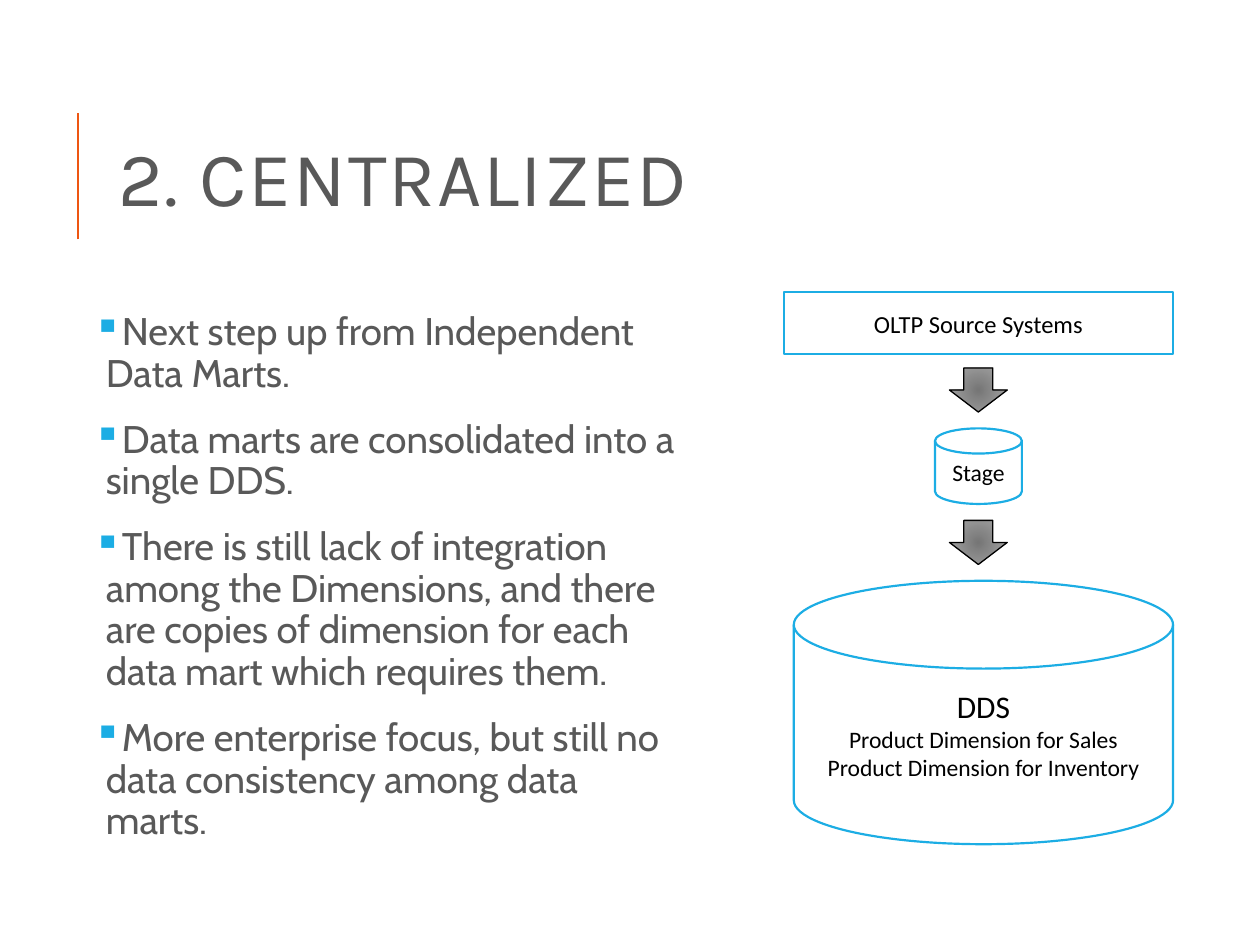
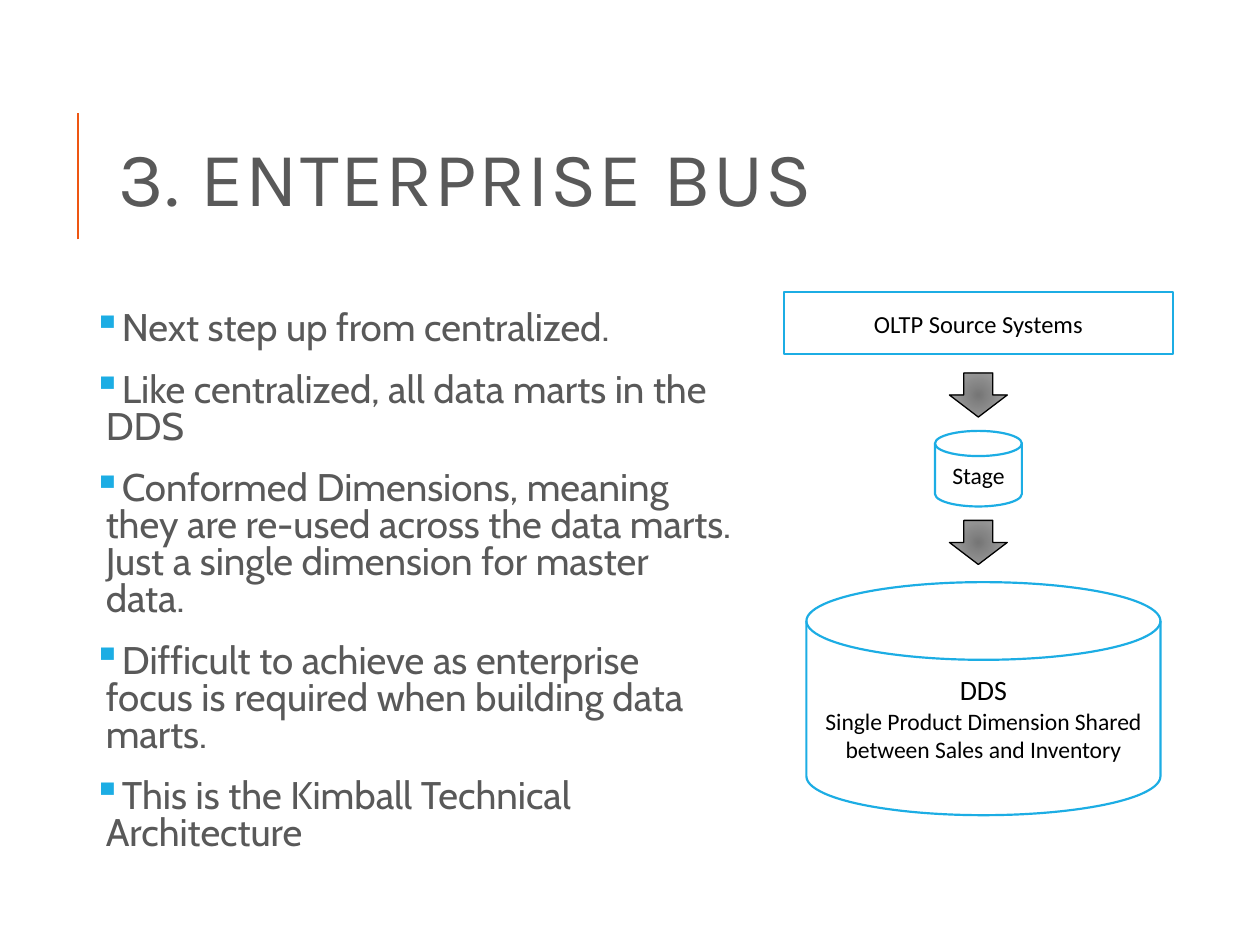
from lxml.etree import SubElement
from pptx import Presentation
from pptx.dml.color import RGBColor
from pptx.enum.shapes import MSO_CONNECTOR, MSO_SHAPE
from pptx.enum.text import MSO_ANCHOR, PP_ALIGN
from pptx.oxml import parse_xml
from pptx.oxml.ns import nsdecls, qn
from pptx.util import Inches, Pt

# Shared colours and fonts
ORANGE = RGBColor(0xEE, 0x56, 0x12)
BLUE = RGBColor(0x1C, 0xAD, 0xE4)
GREY = RGBColor(0x59, 0x59, 0x59)
BLACK = RGBColor(0, 0, 0)
WHITE = RGBColor(0xFF, 0xFF, 0xFF)
TITLE_FONT, BODY_FONT, DIAGRAM_FONT = "Karla", "Cabin", "Calibri"

ARROW_FILL = f"""<a:gradFill {nsdecls('a')}><a:gsLst>
<a:gs pos="0"><a:srgbClr val="767676"/></a:gs>
<a:gs pos="100000"><a:srgbClr val="A9A9A9"/></a:gs></a:gsLst>
<a:path path="circle"><a:fillToRect l="50000" t="50000" r="50000" b="50000"/></a:path>
</a:gradFill>"""

# Grid: 100 columns by 75 rows of square cells
CELL = Inches(0.1)
DIAGRAM_AXIS = 77.65
DISK = MSO_SHAPE.FLOWCHART_MAGNETIC_DISK


def grid(*cells):
    return [round(cell * CELL) for cell in cells]


def write(box, lines, font, color, sizes, align=PP_ALIGN.LEFT, anchor=MSO_ANCHOR.MIDDLE,
          leading=None, tracking=None, inset=0.1, bullet=None):
    """Fill a box with one paragraph per line; the last size serves the remaining lines."""
    frame = box.text_frame
    frame.word_wrap = True
    frame.vertical_anchor = anchor
    if inset != 0.1:
        frame.margin_left = frame.margin_right = Inches(inset)
        frame.margin_top = frame.margin_bottom = Inches(inset)
    for index, line in enumerate(lines):
        para = frame.add_paragraph() if index else frame.paragraphs[0]
        para.alignment = align
        if leading:
            para.line_spacing = leading
        if bullet:
            para.space_before, para.space_after = Pt(12), Pt(2)
            properties = para._p.get_or_add_pPr()
            properties.set("marL", str(CELL))
            properties.set("indent", str(-CELL))
            bullet_color = SubElement(properties, qn("a:buClr"))
            SubElement(bullet_color, qn("a:srgbClr")).set("val", str(BLUE))
            SubElement(properties, qn("a:buChar")).set("char", bullet)
        span = para.add_run()
        span.text = line
        span.font.name = font
        span.font.size = Pt(sizes[min(index, len(sizes) - 1)])
        span.font.color.rgb = color
        if tracking:
            span._r.get_or_add_rPr().set("spc", str(tracking))


# What differs between the slides, in grid cells
architectures = [
    dict(
        title="2. CENTRALIZED", title_width=79.7, body=(48.1, 47), leading=0.9,
        points=[
            "Next step up from Independent Data Marts.",
            "Data marts are consolidated into a single DDS.",
            "There is still lack of integration among the Dimensions, and there are copies "
            "of dimension for each data mart which requires them.",
            "More enterprise focus, but still no data consistency among data marts.",
        ],
        arrow_tops=(29.2, 41.3), stage_top=34, store=(63, 46.1, 30.1, 20.9),
        store_lines=["DDS", "Product Dimension for Sales", "Product Dimension for Inventory"],
        store_sizes=(18, 13.5),
    ),
    dict(
        title="3. ENTERPRISE BUS", title_width=85.5, body=(51.7, 45), leading=0.8,
        points=[
            "Next step up from centralized.",
            "Like centralized, all data marts in the DDS",
            "Conformed Dimensions, meaning they are re-used across the data marts. "
            "Just a single dimension for master data.",
            "Difficult to achieve as enterprise focus is required when building data marts.",
            "This is the Kimball Technical Architecture",
        ],
        arrow_tops=(29.6, 41.3), stage_top=34.2, store=(64, 46.2, 28.1, 18.5),
        store_lines=["DDS", "Single Product Dimension Shared between Sales and Inventory"],
        store_sizes=(16, 13.5),
    ),
]

deck = Presentation()
deck.slide_width, deck.slide_height = grid(100, 75)

for design in architectures:
    page = deck.slides.add_slide(deck.slide_layouts[6])

    # Accent rule beside the title
    rule = page.shapes.add_connector(MSO_CONNECTOR.STRAIGHT, *grid(6.2, 19, 6.2, 9))
    rule.line.color.rgb = ORANGE
    rule.line.width = Pt(1.5)
    SubElement(rule._element.spPr, qn("a:effectLst"))

    # Title and bulleted body
    title = page.shapes.add_textbox(*grid(8.4, 6.4, design["title_width"], 16.4))
    write(title, [design["title"]], TITLE_FONT, GREY, [44], leading=0.8, tracking=100)
    body = page.shapes.add_textbox(*grid(6.9, 24.3, *design["body"]))
    write(body, design["points"], BODY_FONT, GREY, [22], anchor=MSO_ANCHOR.TOP,
          leading=design["leading"], inset=0.05, bullet="▪")

    # Stage, dimensional store and source systems
    nodes = [
        (DISK, (DIAGRAM_AXIS - 3.45, design["stage_top"], 6.9, 6), ["Stage"], [13.5]),
        (DISK, design["store"], design["store_lines"], design["store_sizes"]),
        (MSO_SHAPE.RECTANGLE, (DIAGRAM_AXIS - 15.45, 23.2, 30.9, 4.9),
         ["OLTP Source Systems"], [14]),
    ]
    for kind, cells, lines, sizes in nodes:
        node = page.shapes.add_shape(kind, *grid(*cells))
        node.shadow.inherit = False
        node.fill.solid()
        node.fill.fore_color.rgb = WHITE
        node.line.color.rgb = BLUE
        node.line.width = Pt(1.25)
        write(node, lines, DIAGRAM_FONT, BLACK, sizes, align=PP_ALIGN.CENTER)

    # Block arrows between the nodes
    for top in design["arrow_tops"]:
        arrow = page.shapes.add_shape(MSO_SHAPE.DOWN_ARROW,
                                      *grid(DIAGRAM_AXIS - 2.3, top, 4.6, 3.5))
        arrow.shadow.inherit = False
        arrow.line.color.rgb = BLACK
        arrow.line.width = Pt(0.75)
        arrow._element.spPr.find(qn("a:prstGeom")).addnext(parse_xml(ARROW_FILL))

deck.save("out.pptx")
